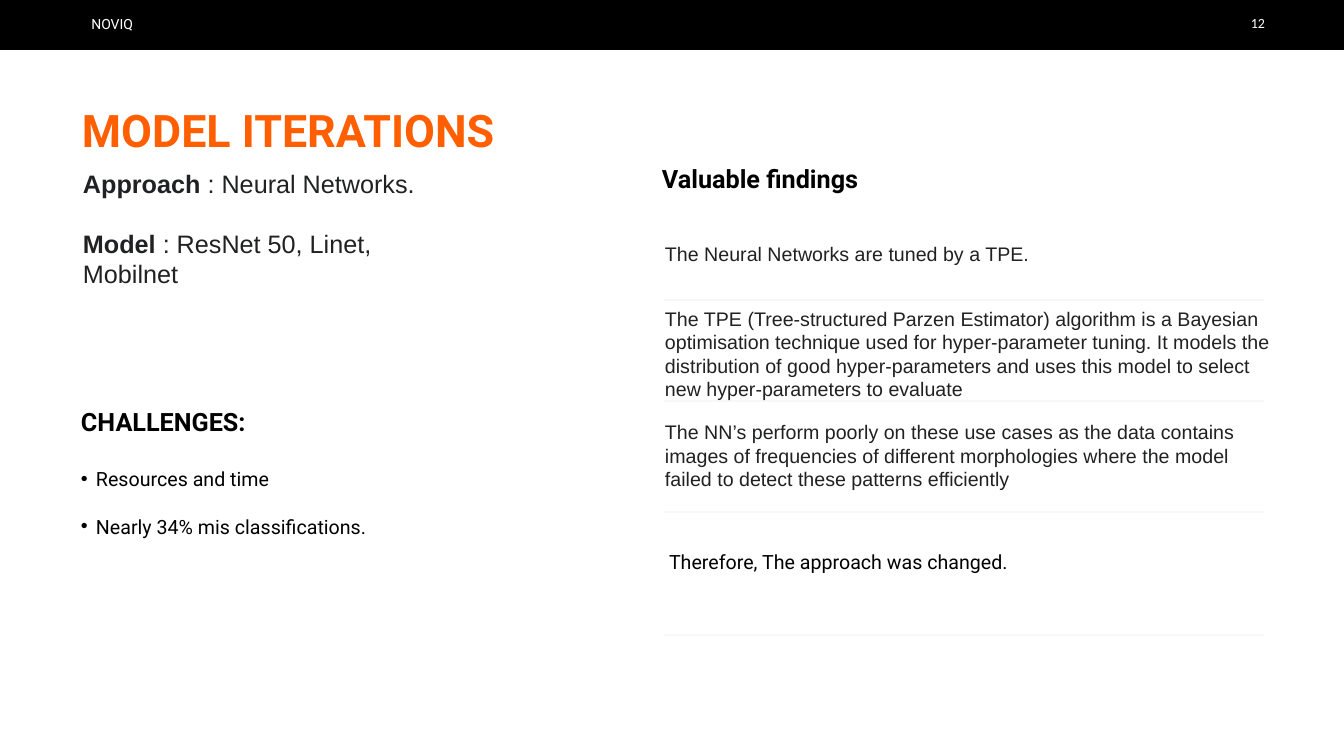
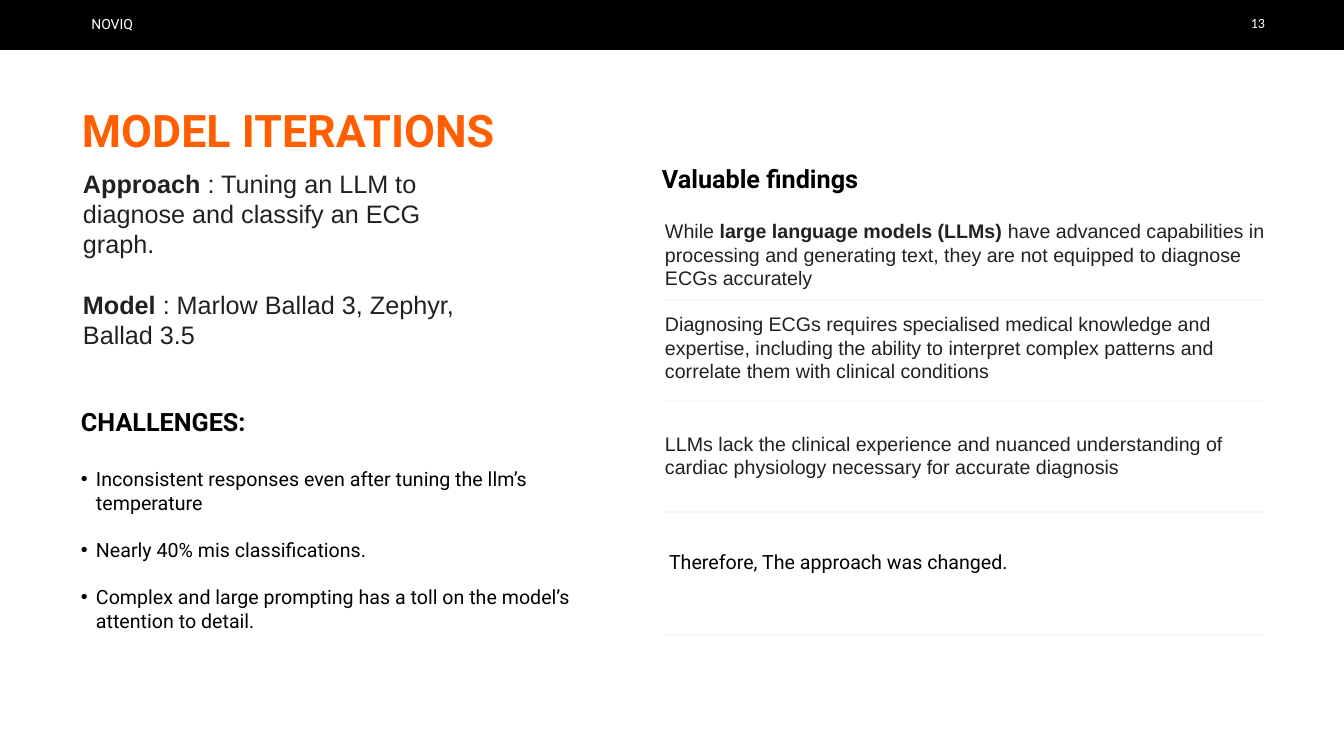
from dataclasses import dataclass
from pptx import Presentation, util as u
from pptx.dml.color import RGBColor
from pptx.enum import shapes, text
from pptx.oxml import parse_xml
from pptx.oxml.ns import nsdecls


@dataclass(frozen=True)
class Theme:
    ink: str = "000000"
    body: str = "202122"
    white: str = "FFFFFF"
    accent: str = "FF5F00"
    rule: float = 0.25
    sans: str = "Roboto"
    plain: str = "Arial"
    digit: str = "Calibri"
    title: int = 32
    head: int = 18
    item: int = 14
    small: int = 10


T = Theme()
EMU = 914400 / 100.8  # one px


def px(*vals):
    return [u.Emu(round(v * EMU)) for v in vals]


def write(shape, paras, font=T.sans, size=T.item, color=T.ink, bold=False,
          align=text.PP_ALIGN.LEFT, anchor=text.MSO_ANCHOR.TOP,
          inset=5, wrap=True, gap=0, bullet=False, fresh=True):
    """Write paragraphs; ** marks switch bold on and off."""
    frame = shape.text_frame
    frame.word_wrap = wrap
    frame.vertical_anchor = anchor
    (frame.margin_left, frame.margin_top,
     frame.margin_right, frame.margin_bottom) = px(*[inset] * 4)
    for i, line in enumerate(paras):
        para = frame.paragraphs[0] if fresh and i == 0 else frame.add_paragraph()
        para.alignment = align
        para.space_before = u.Pt(gap if i or not fresh else 0)
        if bullet:
            prop = para._p.get_or_add_pPr()
            prop.set("marL", str(px(15)[0]))
            prop.set("indent", str(px(-15)[0]))
            prop.append(parse_xml(f'<a:buFont {nsdecls("a")} typeface="Arial"/>'))
            prop.append(parse_xml(f'<a:buChar {nsdecls("a")} char="•"/>'))
        for j, part in enumerate(line.split("**")):
            if part:
                run = para.add_run()
                run.text = part
                run.font.name = font
                run.font.size = u.Pt(size)
                run.font.bold = bold or j % 2 == 1
                run.font.color.rgb = RGBColor.from_string(color)
    return shape


# Content: finding = (top, height, words)
pages = [
    dict(
        num="12",
        intro=["**Approach** : Neural Networks.",
               "**Model **: ResNet 50, Linet, Mobilnet"],
        finds=[
            (230, 48, "The Neural Networks are tuned by a TPE."),
            (296, 115, "The TPE (Tree-structured Parzen Estimator) algorithm is a "
             "Bayesian optimisation technique used for hyper-parameter tuning. It "
             "models the distribution of good hyper-parameters and uses this model "
             "to select new hyper-parameters to evaluate"),
            (409, 93, "The NN’s perform poorly on these use cases as the data contains "
             "images of frequencies of different morphologies where the model "
             "failed to detect these patterns efficiently")],
        tests=["Resources and time", "Nearly 34% mis classifications."]),
    dict(
        num="13",
        intro=["**Approach** : Tuning an LLM to diagnose and classify an ECG graph.",
               "**Model **: Marlow Ballad 3, Zephyr, Ballad 3.5"],
        finds=[
            (208, 93, "While **large language models (LLMs)** have advanced "
             "capabilities in processing and generating text, they are not "
             "equipped to diagnose ECGs accurately"),
            (301, 93, "Diagnosing ECGs requires specialised medical knowledge and "
             "expertise, including the ability to interpret complex patterns and "
             "correlate them with clinical conditions"),
            (420, 70, "LLMs lack the clinical experience and nuanced understanding of "
             "cardiac physiology necessary for accurate diagnosis")],
        tests=["Inconsistent responses even after tuning the llm’s temperature",
               "Nearly 40% mis classifications.",
               "Complex and large prompting has a toll on the model’s "
               "attention to detail."]),
]

prs = Presentation()
prs.slide_width, prs.slide_height = px(1344, 756)
base = prs.slide_layouts[5]
for hold in list(base.placeholders):
    if hold.placeholder_format.type != shapes.PP_PLACEHOLDER.TITLE:
        hold.element.getparent().remove(hold.element)
slides = [prs.slides.add_slide(base) for _ in pages]

# Shared band and label, moved to the layout
draw = slides[0].shapes
band = draw.add_shape(shapes.MSO_SHAPE.RECTANGLE, *px(0, 0, 1344, 50))
band.shadow.inherit = False
band.fill.solid()
band.fill.fore_color.rgb = RGBColor.from_string(T.ink)
band.line.fill.background()
label = write(draw.add_textbox(*px(79, 11, 59, 27)), ["NOVIQ"], size=T.small,
              color=T.white, align=text.PP_ALIGN.RIGHT, wrap=False)
for part in (band, label):
    base.shapes.element.append(part.element)

for slide, page in zip(slides, pages):
    draw = slide.shapes

    # Title and page number
    title = draw.title
    title.left, title.top, title.width, title.height = px(77, 98, 897, 65)
    write(title, ["MODEL ITERATIONS"], size=T.title, color=T.accent, bold=True)
    write(draw.add_textbox(*px(1243, 10, 27, 27)), [page["num"]], font=T.digit,
          size=T.small, color=T.white, align=text.PP_ALIGN.RIGHT, wrap=False)

    # Left column
    write(draw.add_textbox(*px(78, 163, 383, 185)), page["intro"], font=T.plain,
          size=T.head, color=T.body, gap=21.6)
    tests = draw.add_textbox(*px(76, 401, 520, 238))
    write(tests, ["CHALLENGES:"], size=T.head, bold=True)
    for i, line in enumerate(page["tests"]):
        write(tests, [line], gap=17 if i else 22, bullet=True, fresh=False)

    # Findings and their rules
    write(draw.add_textbox(*px(657, 158, 219, 41)), ["Valuable findings"],
          size=T.head, bold=True, wrap=False)
    for top, high, line in page["finds"]:
        write(draw.add_textbox(*px(652, top, 633, high)), [line], font=T.plain,
              color=T.body, anchor=text.MSO_ANCHOR.MIDDLE, inset=13)
    write(draw.add_textbox(*px(664, 545, 355, 34)),
          ["Therefore, The approach was changed."], wrap=False)
    for y in (300, 401, 512, 635):
        rule = draw.add_connector(shapes.MSO_CONNECTOR.STRAIGHT,
                                  *px(664, y, 1264, y))
        rule.line.width = u.Pt(T.rule)
        rule.line.color.rgb = RGBColor.from_string(T.ink)
        tint = rule.line.color._xFill[0]
        tint.append(parse_xml(f'<a:alpha {nsdecls("a")} val="26000"/>'))
        rule.element.spPr.append(parse_xml(f'<a:effectLst {nsdecls("a")}/>'))

prs.save("out.pptx")
